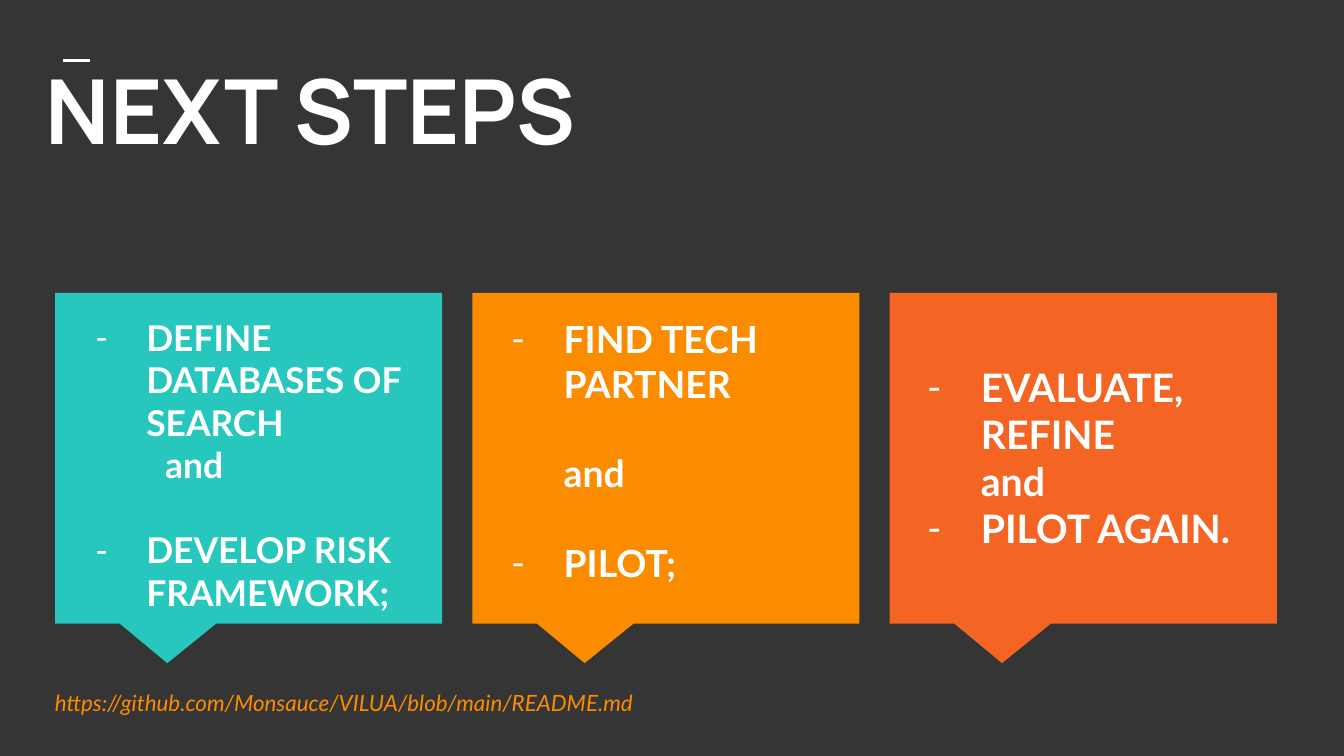
"""Build the next steps slide with three callout cards."""
from lxml import etree
from pptx import Presentation
from pptx.dml.color import RGBColor
from pptx.enum import shapes, text
from pptx.oxml import ns
from pptx.util import Inches, Pt

DARK = RGBColor(0x35, 0x35, 0x35)
WHITE = RGBColor(0xFF, 0xFF, 0xFF)
TEAL = RGBColor(0x27, 0xC7, 0xBD)
AMBER = RGBColor(0xFB, 0x8C, 0x00)
ORANGE = RGBColor(0xF4, 0x65, 0x24)

CARD_LEFT, CARD_TOP, CARD_WIDTH, CARD_HEIGHT = 0.41, 2.18, 2.88, 2.46
LAST_CARD_LEFT = 6.62
TEXT_INDENT = 0.5

CARDS = [
    (TEAL, 19, 0.38, 0.1, [
        ("DEFINE DATABASES OF SEARCH", True, TEXT_INDENT, 0),
        ("and", False, 0.64, 0),
        ("DEVELOP RISK FRAMEWORK;", True, TEXT_INDENT, 1),
    ]),
    (AMBER, 20, 0.39, 0.1, [
        ("FIND TECH PARTNER", True, TEXT_INDENT, 0),
        ("and", False, TEXT_INDENT, 1),
        ("PILOT;", True, TEXT_INDENT, 1),
    ]),
    (ORANGE, 21, 0.4, 0.45, [
        ("EVALUATE, REFINE", True, TEXT_INDENT, 0),
        ("and", False, TEXT_INDENT, 0),
        ("PILOT AGAIN.", True, TEXT_INDENT, 0),
    ]),
]


def set_frame(box, top_margin=0.1, anchor=text.MSO_ANCHOR.TOP):
    """Wrap the text of a box and set its margins and anchor."""
    frame = box.text_frame
    frame.word_wrap = True
    frame.auto_size = text.MSO_AUTO_SIZE.NONE
    frame.vertical_anchor = anchor
    frame.margin_left = frame.margin_right = frame.margin_bottom = Inches(0.1)
    frame.margin_top = Inches(top_margin)
    return frame


def format_paragraph(paragraph, size, font, color, bold=False, italic=False):
    """Left-align a paragraph and format its runs."""
    paragraph.alignment = text.PP_ALIGN.LEFT
    for span in paragraph.runs:
        span.font.size = Pt(size)
        span.font.name = font
        span.font.color.rgb = color
        span.font.bold = bold
        span.font.italic = italic


def set_indent(paragraph, left, hanging, bulleted):
    """Indent a paragraph and give it a white dash if bulleted."""
    properties = paragraph._p.get_or_add_pPr()
    properties.set("marL", str(Inches(left)))
    properties.set("indent", str(-Inches(hanging) if bulleted else 0))
    if bulleted:
        color = etree.SubElement(properties, ns.qn("a:buClr"))
        etree.SubElement(color, ns.qn("a:srgbClr")).set("val", str(WHITE))
        etree.SubElement(properties, ns.qn("a:buFont")).set("typeface", "Lato")
        etree.SubElement(properties, ns.qn("a:buChar")).set("char", "-")


def add_title(page):
    """Fill the title placeholder and draw the short rule above it."""
    title = page.shapes.title
    title.left, title.top = Inches(0.24), Inches(0.31)
    title.width, title.height = Inches(9.43), Inches(1.12)
    frame = set_frame(title)
    frame.text = "NEXT STEPS"
    format_paragraph(frame.paragraphs[0], 48, "Manrope", WHITE, bold=True)

    rule = page.shapes.add_connector(
        shapes.MSO_CONNECTOR.STRAIGHT,
        Inches(0.47), Inches(0.45), Inches(0.67), Inches(0.45))
    rule.line.color.rgb = WHITE
    rule.line.width = Pt(1.5)
    etree.SubElement(rule._element.spPr, ns.qn("a:effectLst"))


def add_card(page, left, color, size, hanging, top_margin, steps):
    """Draw a callout card and the list of steps on it."""
    card = page.shapes.add_shape(
        shapes.MSO_SHAPE.RECTANGULAR_CALLOUT, Inches(left), Inches(CARD_TOP),
        Inches(CARD_WIDTH), Inches(CARD_HEIGHT))
    card.adjustments[0], card.adjustments[1] = -0.21, 0.62
    card.shadow.inherit = False
    card.fill.solid()
    card.fill.fore_color.rgb = color
    card.line.fill.background()

    box = page.shapes.add_textbox(
        Inches(left + 0.08), Inches(CARD_TOP + 0.07), Inches(2.71), Inches(2.19))
    frame = set_frame(box, top_margin)
    frame.text = "\n".join(step[0] for step in steps)
    for paragraph, (_, bulleted, indent, gap) in zip(frame.paragraphs, steps):
        if gap:
            paragraph.space_before = Pt(gap * size * 1.2)
        set_indent(paragraph, indent, hanging, bulleted)
        format_paragraph(paragraph, size, "Lato", WHITE, bold=True)


def add_link(page):
    """Write the address of the project below the cards."""
    box = page.shapes.add_textbox(
        Inches(0.31), Inches(5.09), Inches(6.83), Inches(0.28))
    frame = set_frame(box, anchor=text.MSO_ANCHOR.MIDDLE)
    frame.text = "https://github.com/Monsauce/VILUA/blob/main/README.md"
    format_paragraph(frame.paragraphs[0], 12, "Lato", AMBER, italic=True)


def main():
    """Build and save the deck."""
    deck = Presentation()
    deck.slide_width = Inches(10)
    deck.slide_height = deck.slide_width * 9 // 16
    page = deck.slides.add_slide(deck.slide_layouts[5])
    page.background.fill.solid()
    page.background.fill.fore_color.rgb = DARK
    add_title(page)
    card_step = (LAST_CARD_LEFT - CARD_LEFT) / (len(CARDS) - 1)
    for index, card in enumerate(CARDS):
        add_card(page, CARD_LEFT + index * card_step, *card)
    add_link(page)
    deck.save("out.pptx")


if __name__ == "__main__":
    main()
